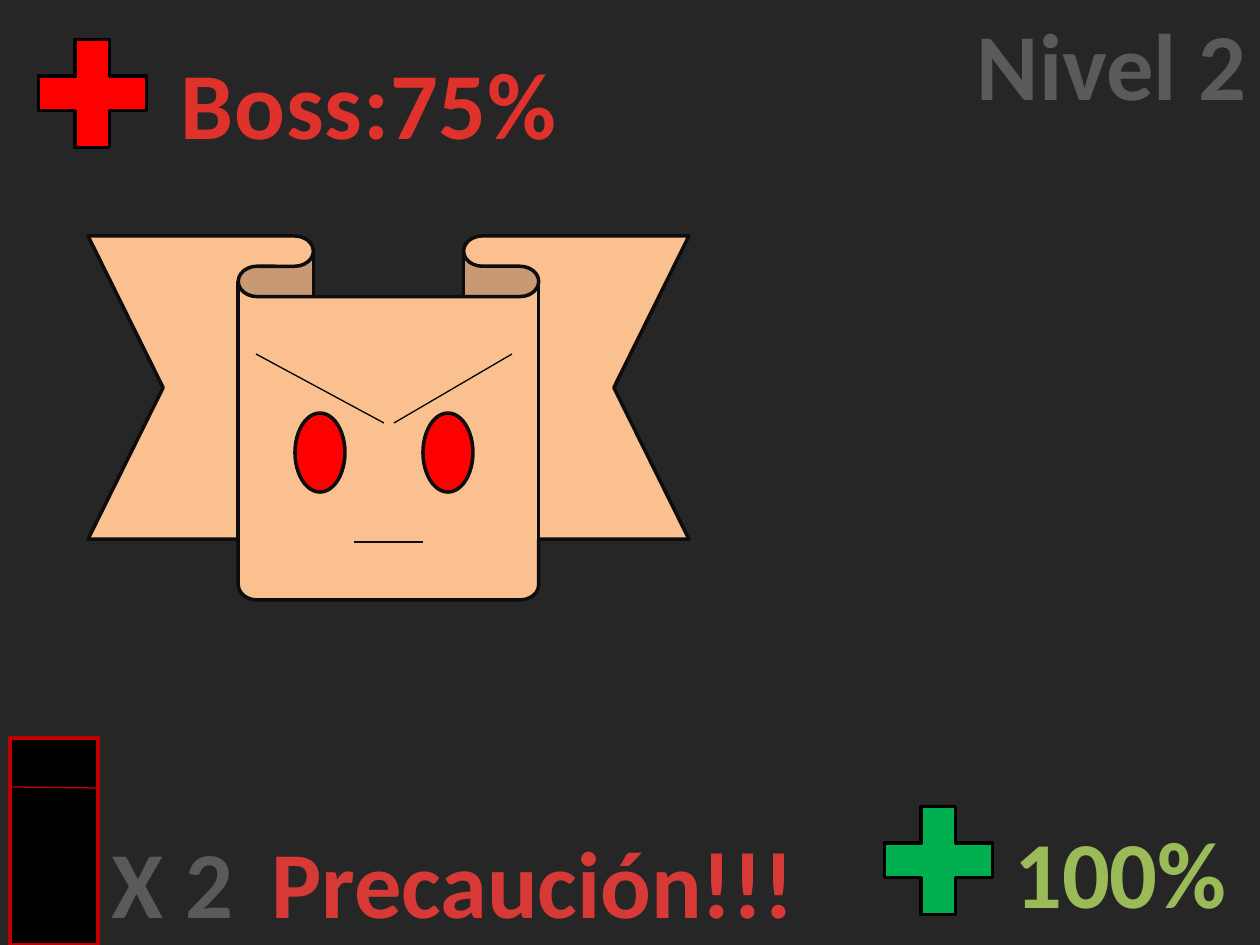
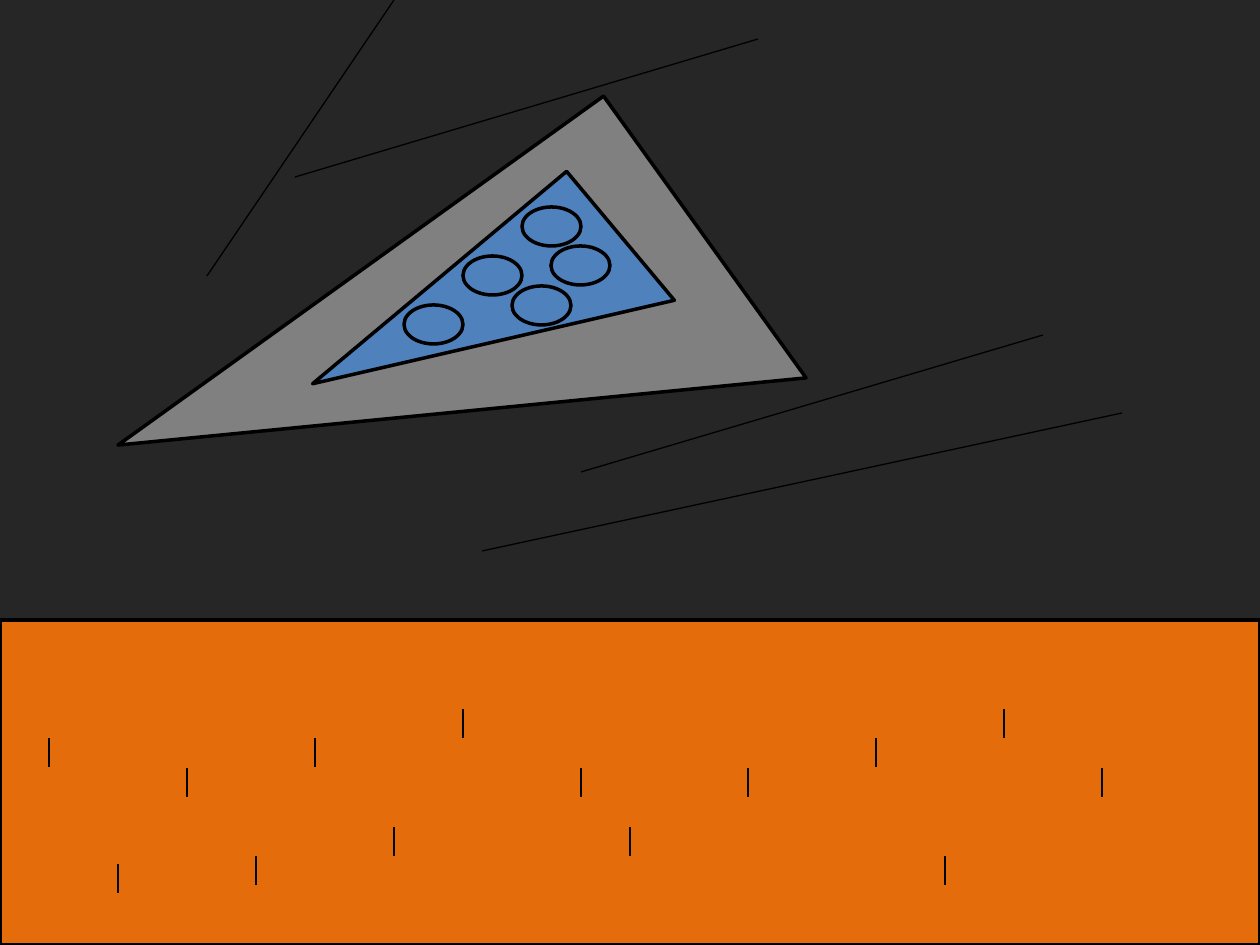
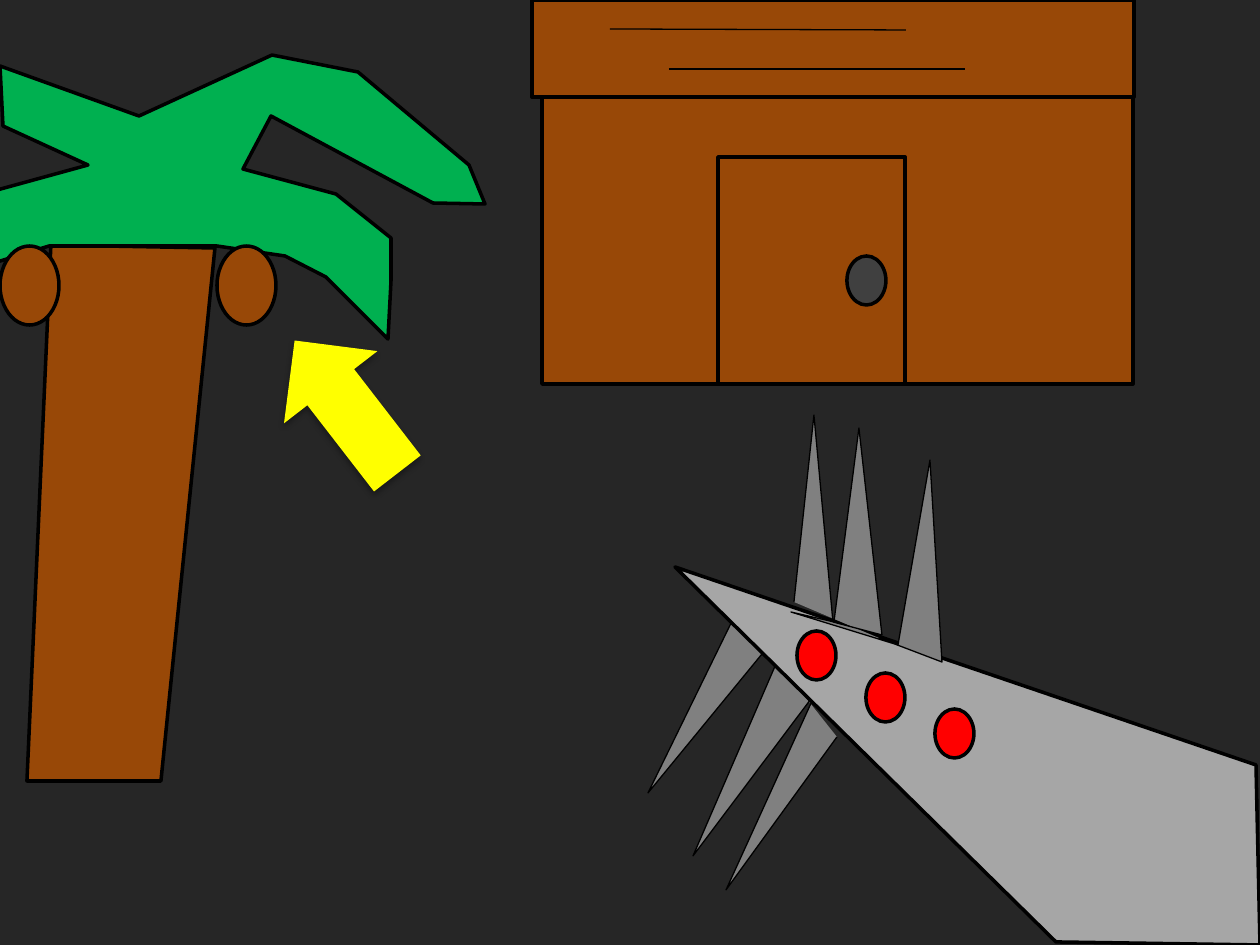
from lxml import etree
from pptx import Presentation
from pptx import util as u
from pptx.dml.color import RGBColor
from pptx.enum import shapes, text
from pptx.oxml.ns import qn

PX = 914400 / 126
KIND = shapes.MSO_SHAPE
FONT = "Calibri"
HEX = {
    "night": "262626", "black": "000000", "ink": "0D0D0D",
    "red": "FF0000", "dark red": "C00000", "boss": "E0322D",
    "alert": "D73A36", "label": "5A5A5A", "life": "9BBB59",
    "skin": "FAC090", "green": "00B050", "sand": "E46C0A",
    "steel": "808080", "glass": "4F81BD", "wood": "984807",
    "arm": "A6A6A6", "knob": "404040", "yellow": "FFFF00",
}


def px(num):
    return u.Emu(round(num * PX))


def rgb(name):
    return RGBColor.from_string(HEX[name])


def paint(shape, fill, line="black", width=2):
    shape.shadow.inherit = False
    shape.fill.solid()
    shape.fill.fore_color.rgb = rgb(fill)
    if line:
        shape.line.color.rgb = rgb(line)
        shape.line.width = u.Pt(width)
    else:
        shape.line.fill.background()


def add_form(slide, kind, box, fill, line="black", turn=0):
    shape = slide.shapes.add_shape(kind, *map(px, box))
    shape.rotation = turn
    paint(shape, fill, line)
    return shape


def add_ovals(slide, spots, size, fill, line="black"):
    for spot in spots:
        add_form(slide, KIND.OVAL, (*spot, *size), fill, line)


def add_line(slide, ends, color="black"):
    line = slide.shapes.add_connector(
        shapes.MSO_CONNECTOR.STRAIGHT, *map(px, ends))
    line.line.color.rgb = rgb(color)
    line.line.width = u.Pt(0.75)
    etree.SubElement(line._element.spPr, qn("a:effectLst"))


def add_path(slide, dots, fill, width=2, close=True):
    form = slide.shapes.build_freeform(*dots[0], scale=PX)
    form.add_line_segments(dots[1:], close=close)
    paint(form.convert_to_shape(), fill, width=width)


def add_text(slide, box, words, color, gap=0):
    frame = slide.shapes.add_textbox(*map(px, box)).text_frame
    frame.word_wrap = False
    frame.auto_size = text.MSO_AUTO_SIZE.SHAPE_TO_FIT_TEXT
    para = frame.paragraphs[0]
    para.alignment = text.PP_ALIGN.CENTER
    run = para.add_run()
    run.text = words
    run.font.name = FONT
    run.font.size = u.Pt(54)
    run.font.bold = True
    run.font.color.rgb = rgb(color)
    if gap:
        run._r.get_or_add_rPr().set("spc", str(gap))


def add_glow(shape):
    effects = shape._element.spPr.find(qn("a:effectLst"))
    outer = etree.SubElement(
        effects, qn("a:outerShdw"), blurRad=str(u.Pt(3.5)),
        dist=str(u.Pt(2.2)), dir="5400000", rotWithShape="0")
    tint = etree.SubElement(outer, qn("a:srgbClr"), val=HEX["black"])
    etree.SubElement(tint, qn("a:alpha"), val="32000")


def add_slide(deck):
    slide = deck.slides.add_slide(deck.slide_layouts[6])
    slide.background.fill.solid()
    slide.background.fill.fore_color.rgb = rgb("night")
    return slide


def draw_boss(slide):
    add_form(slide, KIND.RECTANGLE, (10, 738, 88, 207), "black", "dark red")
    add_line(slide, (10, 787, 98, 788), "dark red")
    add_text(slide, (98, 818, 170, 127), "X 2 ", "label")
    add_text(slide, (166, 39, 406, 127), "Boss:75%", "boss", 50)
    add_form(slide, KIND.MATH_PLUS, (19, 20, 147, 147), "red")
    add_text(slide, (963, 0, 297, 127), "Nivel 2", "label")

    add_form(slide, KIND.DOWN_RIBBON, (88, 236, 601, 364), "skin", "ink")
    for brow in ((256, 354, 384, 423), (394, 423, 512, 354)):
        add_line(slide, brow)
    add_ovals(slide, ((295, 413), (423, 413)), (50, 79), "red", "ink")
    add_line(slide, (354, 542, 423, 542), "ink")

    add_text(slide, (256, 818, 554, 127), "Precaución!!!", "alert")
    add_form(slide, KIND.MATH_PLUS, (865, 787, 147, 147), "green")
    add_text(slide, (1000, 808, 241, 127), "100%", "life")


def draw_ship(slide):
    add_form(slide, KIND.RECTANGLE, (0, 620, 1260, 325), "sand")
    rows = {
        709: (463, 1004),
        738: (49, 315, 876),
        768: (187, 581, 748, 1102),
        827: (394, 630),
        856: (256, 945),
        864: (118,),
    }
    for top, marks in rows.items():
        for left in marks:
            add_line(slide, (left, top, left, top + 29))

    add_form(slide, KIND.RIGHT_TRIANGLE, (163, 238, 598, 347), "steel",
             turn=144.3)
    add_form(slide, KIND.RIGHT_TRIANGLE, (328, 258, 331, 168), "glass",
             turn=140.1)
    for trail in ((581, 472, 1043, 335), (482, 551, 1122, 413),
                  (207, 276, 394, 0), (295, 177, 758, 39)):
        add_line(slide, trail)
    panes = [(404 + 59 * step, 305 - 49 * step) for step in range(3)]
    panes += [(512, 286), (551, 246)]
    add_ovals(slide, panes, (59, 39), "glass")


def draw_palm(slide):
    add_path(slide, [(27, 781), (161, 781), (215, 248), (51, 245)], "wood")
    add_path(slide, [
        (217, 246), (49, 246), (-3, 262), (-3, 190), (88, 165), (3, 126),
        (0, 66), (139, 116), (272, 55), (358, 72), (469, 165), (485, 204),
        (433, 203), (271, 116), (243, 169), (336, 194), (391, 238),
        (391, 281), (388, 339), (326, 277), (285, 256)], "green")
    add_ovals(slide, ((217, 246), (0, 246)), (59, 79), "wood")


def draw_claw(slide):
    add_path(slide, [
        (837, 737), (726, 890), (813, 699), (776, 664), (693, 856),
        (811, 699), (844, 730), (767, 648), (648, 793), (737, 611),
        (779, 664)], "steel", 0.75, False)
    add_path(slide, [(1056, 942), (675, 567), (1256, 765), (1260, 945)],
             "arm")
    add_path(slide, [
        (794, 602), (814, 415), (833, 622), (882, 635), (859, 428),
        (834, 622), (791, 612), (898, 645), (930, 460), (942, 662),
        (879, 638)], "steel", 0.75, False)
    add_ovals(slide, ((797, 631), (935, 709), (866, 673)), (39, 49), "red")


def draw_hut(slide):
    walls, roof, door = (542, 0, 591, 384), (532, 0, 602, 97), (718, 157, 187, 227)
    for part in (walls, roof):
        add_form(slide, KIND.RECTANGLE, part, "wood")
    for plank in ((610, 29, 906, 30), (669, 69, 965, 69)):
        add_line(slide, plank)
    add_form(slide, KIND.RECTANGLE, door, "wood")
    add_ovals(slide, [(847, 256)], (39, 49), "knob")


def main():
    deck = Presentation()
    deck.slide_width, deck.slide_height = px(1260), px(945)
    draw_boss(add_slide(deck))
    draw_ship(add_slide(deck))
    beach = add_slide(deck)
    draw_palm(beach)
    draw_claw(beach)
    draw_hut(beach)
    add_glow(add_form(beach, KIND.DOWN_ARROW, (287, 323, 118, 168),
                      "yellow", None, 142.3))
    deck.save("out.pptx")


if __name__ == "__main__":
    main()
